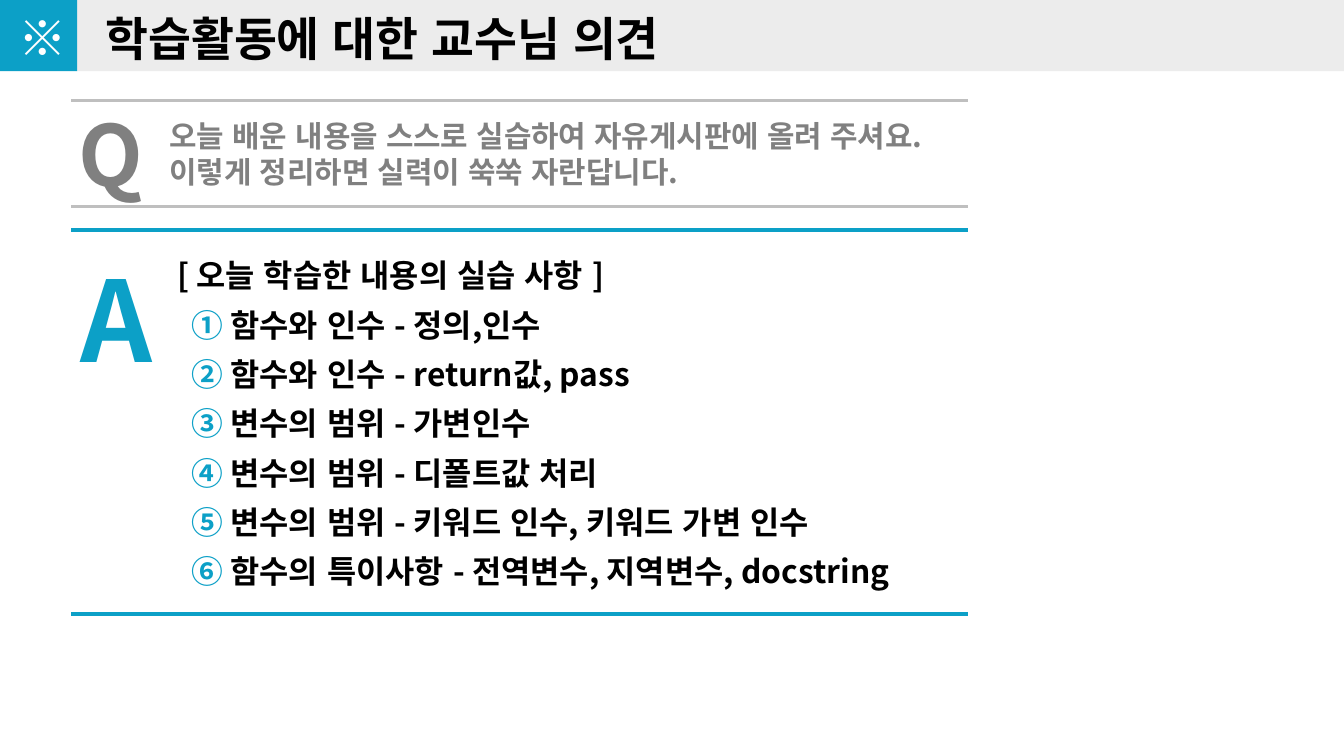
from pptx import Presentation
from pptx import util as u
from pptx.dml.color import RGBColor
from pptx.enum import lang, shapes, text
from pptx.oxml.ns import qn
from lxml import etree

PX = 4572
TEAL = RGBColor(0x0C, 0xA0, 0xC7)
BAND = RGBColor(0xEC, 0xEC, 0xEC)
RULE = RGBColor(0xBF, 0xBF, 0xBF)
GRAY = RGBColor(0x80, 0x80, 0x80)
BLACK = RGBColor(0, 0, 0)
WHITE = RGBColor(0xFF, 0xFF, 0xFF)

TOPICS = [
    "함수와 인수 - 정의,인수",
    "함수와 인수 - return값, pass",
    "변수의 범위 - 가변인수",
    "변수의 범위 - 디폴트값 처리",
    "변수의 범위 - 키워드 인수, 키워드 가변 인수",
    "함수의 특이사항 - 전역변수, 지역변수, docstring",
]


class Deck:
    """Slide style and drawing methods, with lengths in px of 1/200 inch."""

    font = "Noto Sans CJK KR"

    def __init__(self, width, height):
        self.prs = Presentation()
        self.prs.slide_width, self.prs.slide_height = width * PX, height * PX
        self.s = self.prs.slides.add_slide(self.prs.slide_layouts[6])

    def rect(self, x, y, w, h, color):
        sp = self.s.shapes.add_shape(
            shapes.MSO_SHAPE.RECTANGLE, x * PX, y * PX, w * PX, h * PX)
        sp.shadow.inherit = False
        sp.fill.solid()
        sp.fill.fore_color.rgb = color
        sp.line.fill.background()

    def rule(self, x1, x2, y, color, weight):
        ln = self.s.shapes.add_connector(
            shapes.MSO_CONNECTOR.STRAIGHT, x1 * PX, y * PX, x2 * PX, y * PX)
        ln.line.color.rgb = color
        ln.line.width = u.Pt(weight)
        etree.SubElement(ln._element.spPr, qn("a:effectLst"))

    def box(self, x, y, w, h, anchor=text.MSO_ANCHOR.TOP):
        tf = self.s.shapes.add_textbox(x * PX, y * PX, w * PX, h * PX).text_frame
        tf.word_wrap = True
        tf.vertical_anchor = anchor
        tf.margin_left = tf.margin_right = 28 * PX
        tf.margin_top = tf.margin_bottom = 14 * PX
        return tf

    def run(self, p, words, size, color):
        r = p.add_run()
        r.text = words
        r.font.name, r.font.size, r.font.bold = self.font, u.Pt(size), True
        r.font.language_id = lang.MSO_LANGUAGE_ID.KOREAN
        r.font.color.rgb = color
        etree.SubElement(r._r.get_or_add_rPr(), qn("a:ea"), typeface=self.font)

    def label(self, x, y, w, h, words, size, color, align=text.PP_ALIGN.LEFT):
        p = self.box(x, y, w, h).paragraphs[0]
        p.alignment = align
        self.run(p, words, size, color)

    def lines(self, x, y, w, h, rows, size, color):
        p = self.box(x, y, w, h, text.MSO_ANCHOR.MIDDLE).paragraphs[0]
        for i, words in enumerate(rows):
            if i:
                p.add_line_break()
            self.run(p, words, size, color)

    def numbered(self, x, y, w, h, heading, items, size, color, accent):
        tf = self.box(x, y, w, h)
        self.run(tf.paragraphs[0], heading, size, color)
        for words in items:
            p = tf.add_paragraph()
            pPr = p._p.get_or_add_pPr()
            pPr.set("marL", str(79 * PX))
            pPr.set("indent", str(-58 * PX))
            clr = etree.SubElement(pPr, qn("a:buClr"))
            etree.SubElement(clr, qn("a:srgbClr"), val=str(accent))
            etree.SubElement(pPr, qn("a:buAutoNum"), type="circleNumDbPlain")
            p.space_before = u.Pt(6)
            self.run(p, words, size, color)


def main():
    d = Deck(2000, 1125)
    d.rect(114, -2, 1886, 108, BAND)
    d.rect(-2, -2, 117, 108, TEAL)
    for y, color, weight in [(307, RULE, 1.5), (150, RULE, 1.5),
                             (342, TEAL, 2.25), (914, TEAL, 2.25)]:
        d.rule(106, 1440, y, color, weight)

    d.label(129, 0, 1784, 112, "학습활동에 대한 교수님 의견", 25, BLACK)
    d.label(-2, -2, 132, 116, "※", 26, WHITE, text.PP_ALIGN.CENTER)

    d.label(89, 138, 148, 180, "Q", 45, GRAY)
    d.lines(224, 161, 1242, 136,
            ["오늘 배운 내용을 스스로 실습하여 자유게시판에 올려 주셔요. ",
             "이렇게 정리하면 실력이 쑥쑥 자란답니다."], 16, GRAY)

    d.label(92, 359, 160, 230, "A", 60, TEAL)
    d.numbered(236, 367, 1206, 530, "[ 오늘 학습한 내용의 실습 사항 ]",
               TOPICS, 17, BLACK, TEAL)
    d.prs.save("out.pptx")


if __name__ == "__main__":
    main()
